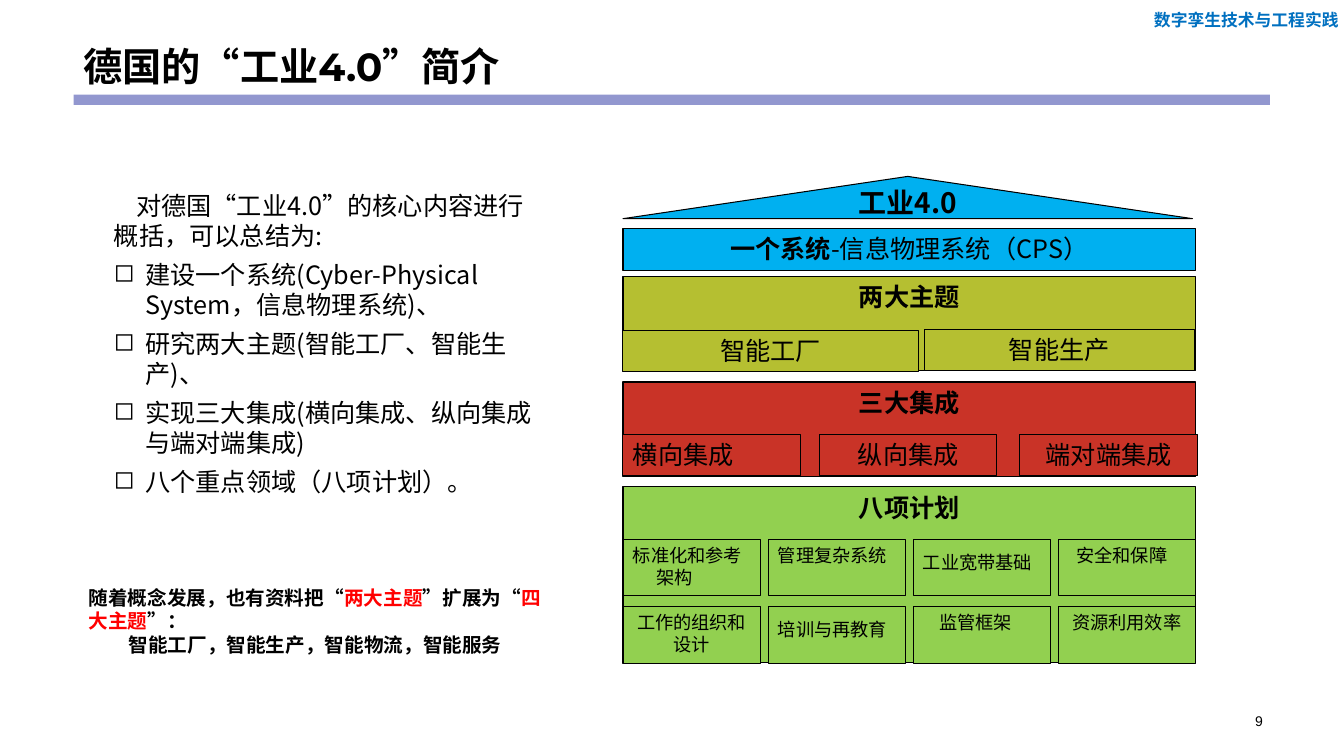
"""Build a slide on the core ideas of Industry 4.0 in Germany."""
from lxml.etree import SubElement
from pptx import Presentation
from pptx.dml.color import RGBColor
from pptx.enum.shapes import MSO_SHAPE
from pptx.enum.text import MSO_ANCHOR, PP_ALIGN
from pptx.oxml.ns import qn
from pptx.util import Pt

BLACK = RGBColor(0x00, 0x00, 0x00)
RED = RGBColor(0xFF, 0x00, 0x00)
NAVY = RGBColor(0x00, 0x70, 0xC0)
LILAC = RGBColor(0x92, 0x97, 0xCF)
SKY = RGBColor(0x00, 0xB0, 0xF0)
OLIVE = RGBColor(0xB5, 0xBF, 0x31)
BRICK = RGBColor(0xC9, 0x33, 0x27)
GREEN = RGBColor(0x92, 0xD0, 0x50)
SANS = "Noto Sans CJK SC"
LEFT, WIDE = 445, 409


def write(frame, text, new=False, size=18, font=SANS, color=BLACK, bold=False,
          align=PP_ALIGN.LEFT, left=0, first=0, before=0, after=0,
          lead=None, bullet=None):
    """Add a run to the last paragraph, or to a new one."""
    para = frame.add_paragraph() if new else frame.paragraphs[-1]
    if new or not para.runs:
        props = para._p.get_or_add_pPr()
        props.set("marL", str(Pt(left)))
        props.set("indent", str(Pt(first)))
        if bullet:
            SubElement(props, qn("a:buChar")).set("char", bullet)
        para.alignment = align
        para.space_before, para.space_after = Pt(before), Pt(after)
        if lead:
            para.line_spacing = lead
    run = para.add_run()
    run.text = text
    run.font.name, run.font.size, run.font.bold = font, Pt(size), bold
    run.font.color.rgb = color
    SubElement(run._r.get_or_add_rPr(), qn("a:ea")).set("typeface", SANS)


class Page:
    """Hold the style and the current slide."""

    def __init__(self, slide, edge=BLACK, line=0.75):
        self.slide, self.edge, self.line = slide, edge, line

    def label(self, x, y, w, h, wrap=True, anchor=MSO_ANCHOR.TOP):
        """Add a text box and return its frame."""
        box = self.slide.shapes.add_textbox(Pt(x), Pt(y), Pt(w), Pt(h))
        frame = box.text_frame
        frame.word_wrap, frame.vertical_anchor = wrap, anchor
        return frame

    def block(self, x, y, w, h, fill, kind=MSO_SHAPE.RECTANGLE, edged=True):
        """Add a filled shape and return its frame."""
        shape = self.slide.shapes.add_shape(kind, Pt(x), Pt(y), Pt(w), Pt(h))
        shape.shadow.inherit = False
        shape.fill.solid()
        shape.fill.fore_color.rgb = fill
        if edged:
            shape.line.color.rgb = self.edge
            shape.line.width = Pt(self.line)
        else:
            shape.line.fill.background()
        frame = shape.text_frame
        frame.word_wrap, frame.vertical_anchor = True, MSO_ANCHOR.TOP
        return frame

    def panel(self, text, x, y, w, h, fill, bold=False, align=PP_ALIGN.CENTER):
        """Add a block with one line of text and return its frame."""
        frame = self.block(x, y, w, h, fill)
        write(frame, text, bold=bold, align=align)
        return frame

    def cell(self, x, y, lines, drop=0):
        """Add a plan cell; a line with no indent given is centred."""
        frame = self.block(x, y, 98, 40.3, GREEN)
        frame.margin_top = Pt(3.6 + drop)
        for i, (text, left) in enumerate(lines):
            align = PP_ALIGN.CENTER if left is None else PP_ALIGN.LEFT
            write(frame, text, new=i > 0, size=13, align=align, left=left or 0)


def draw_head(page):
    """Draw the title, its bar, the course name and the page number."""
    write(page.label(817.2, 3.6, 147.6, 21.6, wrap=False), "数字孪生技术与工程实践",
          size=12, color=NAVY, bold=True)
    page.block(52.6, 67.7, 854.6, 7.2, LILAC, edged=False)
    write(page.label(52.6, 0, 854.6, 67.7, anchor=MSO_ANCHOR.BOTTOM),
          "德国的“工业4.0”简介", size=28, font="Montserrat", bold=True, lead=0.9)
    write(page.label(844.6, 506.9, 109.4, 16.6, anchor=MSO_ANCHOR.MIDDLE), "9",
          size=10, font="Arial", align=PP_ALIGN.CENTER)


def draw_notes(page):
    """Draw the summary list and the remark below it."""
    frame = page.label(74.2, 132.5, 315.4, 227.5)
    write(frame, "对德国“工业4.0”的核心内容进行概括，可以总结为:", first=16, after=3)
    for text in ("建设一个系统(Cyber-Physical System，信息物理系统)、",
                 "研究两大主题(智能工厂、智能生产)、",
                 "实现三大集成(横向集成、纵向集成与端对端集成)",
                 "八个重点领域（八项计划）。"):
        write(frame, text, new=True, left=22.5, first=-22.5, before=3, after=3,
              bullet="◻")
    frame = page.label(56.2, 414.7, 342, 58.3)
    for text, color in (("随着概念发展，也有资料把“", BLACK), ("两大主题", RED),
                        ("”扩展为“", BLACK), ("四大主题", RED), ("”：", BLACK)):
        write(frame, text, size=14, color=color, bold=True)
    write(frame, "智能工厂，智能生产，智能物流，智能服务", new=True, size=14,
          bold=True, first=28.5)


def draw_house(page):
    """Draw the house from roof to ground."""
    roof = page.block(LEFT, 126, 406.8, 30.2, SKY, MSO_SHAPE.ISOSCELES_TRIANGLE)
    roof.margin_top, roof.margin_bottom = Pt(0), Pt(31.7)
    write(roof, "工业4.0", size=20, bold=True, align=PP_ALIGN.CENTER)

    frame = page.panel("一个系统", LEFT, 163.4, WIDE, 29.5, SKY, bold=True)
    write(frame, "-信息物理系统（CPS）")

    page.panel("两大主题", LEFT, 197.3, WIDE, 67.7, OLIVE, bold=True)
    page.panel("智能工厂", LEFT, 236.2, 211, 29.2, OLIVE)
    page.panel("智能生产", 660.2, 235.4, 193, 29.2, OLIVE)

    page.panel("三大集成", LEFT, 272.9, WIDE, 67.7, BRICK, bold=True)
    for text, x, align in (("横向集成", LEFT, PP_ALIGN.LEFT),
                           ("纵向集成", 585.4, PP_ALIGN.CENTER),
                           ("端对端集成", 728.6, PP_ALIGN.CENTER)):
        page.panel(text, x, 310.3, 126.7, 29.5, BRICK, align=align)

    page.panel("八项计划", LEFT, 347.8, WIDE, 125.3, GREEN, bold=True)
    plans = (
        (((("标准化和参考", 0), ("架构", 16.5)), 0), ((("管理复杂系统", 0),), 0),
         ((("工业宽带基础", 0),), 5), ((("安全和保障", 6),), 0)),
        (((("工作的组织和设计", None),), 0), ((("培训与再教育", 0),), 5),
         ((("监管框架", 11.5),), 0), ((("资源利用效率", None),), 0)),
    )
    for row, cells in enumerate(plans):
        for col, (lines, drop) in enumerate(cells):
            page.cell(LEFT + col * 103.6, 385.2 + row * 48.2, lines, drop)


def main():
    """Build and save the slide."""
    deck = Presentation()
    deck.slide_width, deck.slide_height = Pt(960), Pt(540)
    page = Page(deck.slides.add_slide(deck.slide_layouts[6]))
    draw_head(page)
    draw_notes(page)
    draw_house(page)
    deck.save("out.pptx")


if __name__ == "__main__":
    main()
